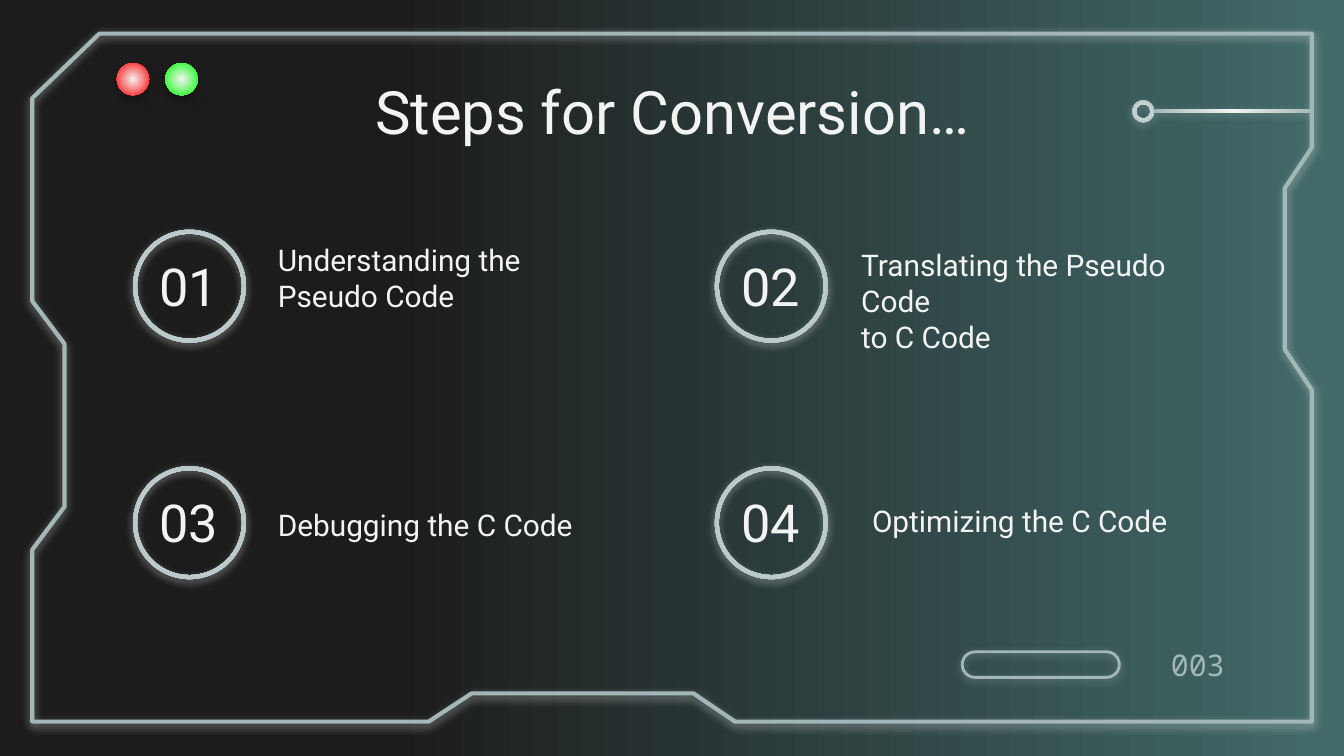
from lxml import etree
from pptx import Presentation
from pptx.dml.color import RGBColor
from pptx.enum.shapes import MSO_SHAPE as Shape
from pptx.enum.text import MSO_ANCHOR as Anchor, PP_ALIGN as Align
from pptx.oxml.ns import qn
from pptx.util import Pt

DARK = RGBColor(0x1C, 0x1C, 0x1C)
TEAL = RGBColor(0x42, 0x6B, 0x6A)
WHITE = RGBColor(0xF3, 0xF3, 0xF3)
STEEL = RGBColor(0xA3, 0xB7, 0xB9)
RED = RGBColor(0xFF, 0x00, 0x00)
GREEN = RGBColor(0x00, 0xFF, 0x00)
BLACK = RGBColor(0x00, 0x00, 0x00)

FRAME = [
    (702.7, 386.6), (393.8, 386.6), (371.5, 371.5), (252.7, 371.5),
    (229.7, 386.6), (17.3, 386.6), (17.3, 294.5), (34.6, 271.4),
    (34.6, 184.3), (17.3, 161.3), (17.3, 52.6), (53.3, 18),
    (702.7, 18), (702.7, 79.2), (688.3, 100.8), (688.3, 187.2),
    (702.7, 208.8),
]
COLUMNS = (71.3, 383)
ROWS = (123.1, 249.8)
RING = 60.5
LINE_HEIGHT = 18.75  # one line of 16 pt text

# label, box (left, top, width, height), lines kept free below the text
STEPS = [
    ("Understanding the\vPseudo Code", (141.8, 133.2, 194.4, 60.5), 1),
    ("Translating the Pseudo Code\vto C Code", (454.3, 126.7, 194.4, 108), 2),
    ("Debugging the C Code", (141.8, 252, 194.4, 57.6), 1),
    ("Optimizing the C Code", (460.1, 257.8, 194.4, 49.7), 1),
]


def set_gradient(fill, stops):
    fill.gradient()
    fill.gradient_angle = 0
    for stop, (position, color) in zip(fill.gradient_stops, stops):
        stop.position = position
        stop.color.rgb = color


def add_glow(s, color, opacity=50, dist=1.5):
    """Give the shape a soft shadow straight below it."""
    s.shadow.inherit = False
    effects = s._element.spPr.find(qn("a:effectLst"))
    shadow = etree.SubElement(effects, qn("a:outerShdw"), blurRad=str(Pt(4.5)),
                              dist=str(Pt(dist)), dir="5400000",
                              algn="bl", rotWithShape="0")
    clr = etree.SubElement(shadow, qn("a:srgbClr"), val=str(color))
    etree.SubElement(clr, qn("a:alpha"), val=str(opacity * 1000))


def add_radial(slide, kind, box, edge, adj=None):
    """Add a shape filled from a white centre to the edge colour."""
    s = slide.shapes.add_shape(kind, *map(Pt, box))
    if adj is not None:
        s.adjustments[0] = adj
    set_gradient(s.fill, [(0, WHITE), (1, edge)])
    grad = s._element.spPr.find(qn("a:gradFill"))
    grad.remove(grad.find(qn("a:lin")))
    circle = etree.SubElement(grad, qn("a:path"), path="circle")
    etree.SubElement(circle, qn("a:fillToRect"),
                     l="50000", t="50000", r="50000", b="50000")
    s.line.fill.background()
    return s


def set_outline(s, width):
    s.fill.background()
    s.line.color.rgb = STEEL
    s.line.width = Pt(width)


def add_text(slide, text, box, size, align=Align.LEFT, anchor=Anchor.MIDDLE,
             font="Roboto", color=WHITE, side=7.2, bottom=7.2):
    tf = slide.shapes.add_textbox(*map(Pt, box)).text_frame
    tf.word_wrap = True
    tf.vertical_anchor = anchor
    tf.margin_left = tf.margin_right = Pt(side)
    tf.margin_top, tf.margin_bottom = Pt(7.2), Pt(bottom)
    p = tf.paragraphs[0]
    p.text = text
    p.alignment = align
    p.font.name = font
    p.font.size = Pt(size)
    p.font.color.rgb = color


def add_frame(slide):
    points = [(Pt(x), Pt(y)) for x, y in FRAME]
    builder = slide.shapes.build_freeform(*points[0])
    builder.add_line_segments(points[1:], close=True)
    s = builder.convert_to_shape()
    set_outline(s, 2.25)
    add_glow(s, WHITE)


def add_step(slide, index, label, box, free_lines):
    x, y = COLUMNS[index % 2], ROWS[index // 2]
    add_text(slide, label, box, 16, anchor=Anchor.BOTTOM,
             bottom=7.2 + free_lines * LINE_HEIGHT)
    add_text(slide, f"{index + 1:02}", (x + 5, y + 2.2, 49.7, 55.4), 28,
             align=Align.CENTER, side=0)
    ring = add_radial(slide, Shape.DONUT, (x, y, RING, RING), STEEL, 0.036)
    add_glow(ring, WHITE)


def main():
    prs = Presentation()
    prs.slide_width, prs.slide_height = Pt(720), Pt(405)
    slide = prs.slides.add_slide(prs.slide_layouts[6])

    # Background and frame
    set_gradient(slide.background.fill, [(0.29, DARK), (1, TEAL)])
    add_frame(slide)

    # Title and steps
    add_text(slide, "Steps for Conversion…", (56.9, 42.5, 607, 33.8), 32,
             align=Align.CENTER)
    for index, step in enumerate(STEPS):
        add_step(slide, index, *step)

    # Page number and its pill
    pill = slide.shapes.add_shape(Shape.ROUNDED_RECTANGLE, Pt(515.5), Pt(349.2),
                                  Pt(84.2), Pt(13.7))
    pill.adjustments[0] = 0.5
    set_outline(pill, 1.5)
    add_glow(pill, STEEL)
    add_text(slide, "003", (619.9, 349.2, 43.2, 13.7), 16, align=Align.RIGHT,
             font="Noto Sans Mono", color=STEEL)

    # Indicator lights
    for x, color in ((62.6, RED), (88.6, GREEN)):
        light = add_radial(slide, Shape.OVAL, (x, 33.8, 17.3, 17.3), color)
        add_glow(light, BLACK, opacity=20, dist=3.8)

    # Circuit pin on the right edge
    bar = add_radial(slide, Shape.RECTANGLE, (617.8, 58.7, 85, 1.7), STEEL)
    eye = add_radial(slide, Shape.DONUT, (606.6, 53.8, 11.7, 11.7), STEEL, 0.17)
    for s in (bar, eye):
        add_glow(s, STEEL)

    prs.save("out.pptx")


if __name__ == "__main__":
    main()
